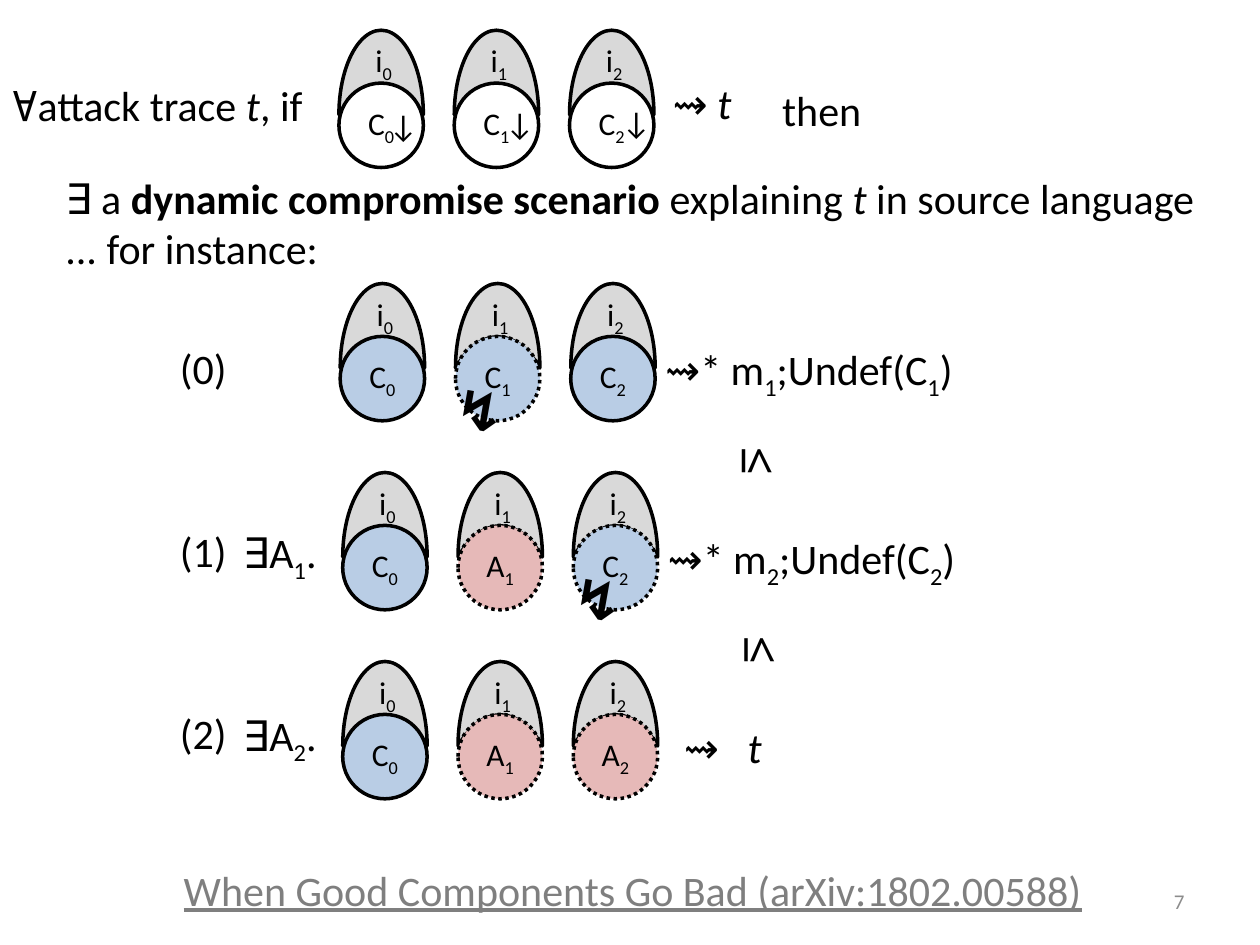
from dataclasses import dataclass

from pptx import Presentation, util as u
from pptx.dml.color import RGBColor
from pptx.enum import dml, shapes, text


@dataclass(frozen=True)
class Theme:
    font: str = "Calibri"
    symbol_font: str = "Noto Sans Mono"
    ink: str = "000000"
    link: str = "7F7F7F"
    number: str = "8C8C8C"
    interface: str = "D9D9D9"
    compiled: str = "FFFFFF"
    source: str = "B9CDE5"
    attacker: str = "E6B9B8"
    body: int = 24
    label: int = 18
    small: int = 12
    order: int = 28
    bolt: int = 32
    outline: int = 2


THEME = Theme()
SIZE = 0.67
PITCH = 1.83 / 2
OVERLAP = 0.42


def write(tf, *paragraphs, size=THEME.body, color=THEME.ink, font=THEME.font,
          align=text.PP_ALIGN.LEFT, underline=None):
    for i, runs in enumerate(paragraphs):
        p = tf.paragraphs[0] if i == 0 else tf.add_paragraph()
        p.alignment = align
        for content, style in runs:
            r = p.add_run()
            r.text = content
            r.font.name = THEME.symbol_font if style == "symbol" else font
            r.font.size = u.Pt(size)
            r.font.color.rgb = RGBColor.from_string(color)
            r.font.bold = style == "bold"
            r.font.italic = style == "italic"
            r.font.underline = underline
            if style == "sub":
                r.font._element.set("baseline", "-25000")
            if style == "wide":
                r.font._element.set("spc", "1080")


def plain(content):
    return [(content, "")]


def indexed(name, index):
    return [(name, ""), (str(index), "sub")]


class Deck:
    def __init__(self, theme):
        self.theme = theme
        self.prs = Presentation()
        self.prs.slide_width, self.prs.slide_height = u.Inches(10), u.Inches(7.5)
        self.s = self.prs.slides.add_slide(self.prs.slide_layouts[6])

    def box(self, at, *paragraphs, wrap=False, rotation=0, parent=None, **fmt):
        sp = (parent or self.s).shapes.add_textbox(*map(u.Inches, at))
        sp.rotation = rotation
        tf = sp.text_frame
        tf.word_wrap = wrap
        tf.auto_size = text.MSO_AUTO_SIZE.SHAPE_TO_FIT_TEXT
        write(tf, *paragraphs, **fmt)
        return sp

    def shape(self, parent, kind, left, top, fill, dotted=False):
        sp = parent.shapes.add_shape(kind, *map(u.Inches, (left, top, SIZE, SIZE)))
        sp.shadow.inherit = False
        sp.fill.solid()
        sp.fill.fore_color.rgb = RGBColor.from_string(fill)
        sp.line.color.rgb = RGBColor.from_string(self.theme.ink)
        sp.line.width = u.Pt(self.theme.outline)
        if dotted:
            sp.line.dash_style = dml.MSO_LINE.ROUND_DOT
        return sp

    def components(self, left, top, members):
        group = self.s.shapes.add_group_shape()
        for i in range(len(members)):
            x = left + i * PITCH
            moon = self.shape(group, shapes.MSO_SHAPE.MOON, x, top, self.theme.interface)
            moon.rotation = 90
            moon.adjustments[0] = 0.632
            self.box((x + 0.19, top + 0.04, 0.35, 0.4), indexed("i", i),
                     parent=group, size=self.theme.label)
        for i, (name, fill, dotted) in enumerate(members):
            sp = self.shape(group, shapes.MSO_SHAPE.OVAL, left + i * PITCH,
                            top + OVERLAP, fill, dotted)
            sp.text_frame.vertical_anchor = text.MSO_ANCHOR.MIDDLE
            write(sp.text_frame, indexed(name, i), size=self.theme.label,
                  align=text.PP_ALIGN.CENTER)

    def step(self, index, left, top, members):
        self.box((1.33, 2.67 + 1.45 * index, 0.58, 0.5), plain(f"({index})"))
        self.components(left, top, members)
        if index:
            self.box((1.83, 2.68 + 1.45 * index, 0.79, 0.5),
                     indexed("∃A", index) + plain("."))

    def undefined(self, index, left, top):
        self.box((left, top, 2.58, 0.5), indexed("⇝* m", index)
                 + indexed(";Undef(C", index) + plain(")"))
        self.box((left - 2.57 + PITCH * index, top + 0.25, 0.46, 0.64),
                 [("↯", "bold")], size=self.theme.bolt)
        self.box((left + 0.59, top + 0.75, 0.54, 0.57), plain("≤"), rotation=90,
                 size=self.theme.order, font=self.theme.symbol_font)


def main():
    deck = Deck(THEME)
    compiled = ("C", THEME.compiled, False)
    intact = ("C", THEME.source, False)
    failing = ("C", THEME.source, True)
    attacker = ("A", THEME.attacker, True)

    deck.components(2.69, 0.24, [compiled] * 3)
    deck.box((0.42, 1.32, 9.23, 0.91),
             [("∃ a ", ""), ("dynamic compromise scenario ", "bold"),
              ("explaining ", ""), ("t ", "italic"), ("in source language", "")],
             plain("... for instance:"))
    for i in range(3):
        deck.box((2.99 + 0.925 * i, 0.79 - 0.01 * i, 0.43, 0.4), plain("↓"),
                 size=THEME.label)
    deck.box((0, 0.58, 2.53, 0.5), [("∀", "symbol"), ("attack trace ", ""),
                                    ("t", "italic"), (", if", "")])
    deck.box((5.24, 0.57, 0.72, 0.5), [("⇝ ", ""), ("t", "italic")])
    deck.box((6.11, 0.62, 0.84, 0.5), plain("then"))

    deck.step(0, 2.7, 2.25, [intact, failing, intact])
    deck.undefined(1, 5.18, 2.68)
    deck.step(1, 2.72, 3.75, [intact, attacker, failing])
    deck.undefined(2, 5.2, 4.18)
    deck.step(2, 2.72, 5.25, [intact, attacker, attacker])
    deck.box((5.33, 5.68, 0.87, 0.5), [("⇝", ""), (" ", "wide"), ("t", "italic")])

    number = deck.box((7.17, 6.95, 2.33, 0.4), plain("7"), wrap=True,
                      size=THEME.small, color=THEME.number,
                      align=text.PP_ALIGN.RIGHT)
    number.text_frame.auto_size = text.MSO_AUTO_SIZE.NONE
    number.text_frame.vertical_anchor = text.MSO_ANCHOR.MIDDLE
    deck.box((1.36, 6.81, 7.39, 0.5),
             plain("When Good Components Go Bad (arXiv:1802.00588)"),
             wrap=True, color=THEME.link, underline=True)
    deck.prs.save("out.pptx")


if __name__ == "__main__":
    main()
